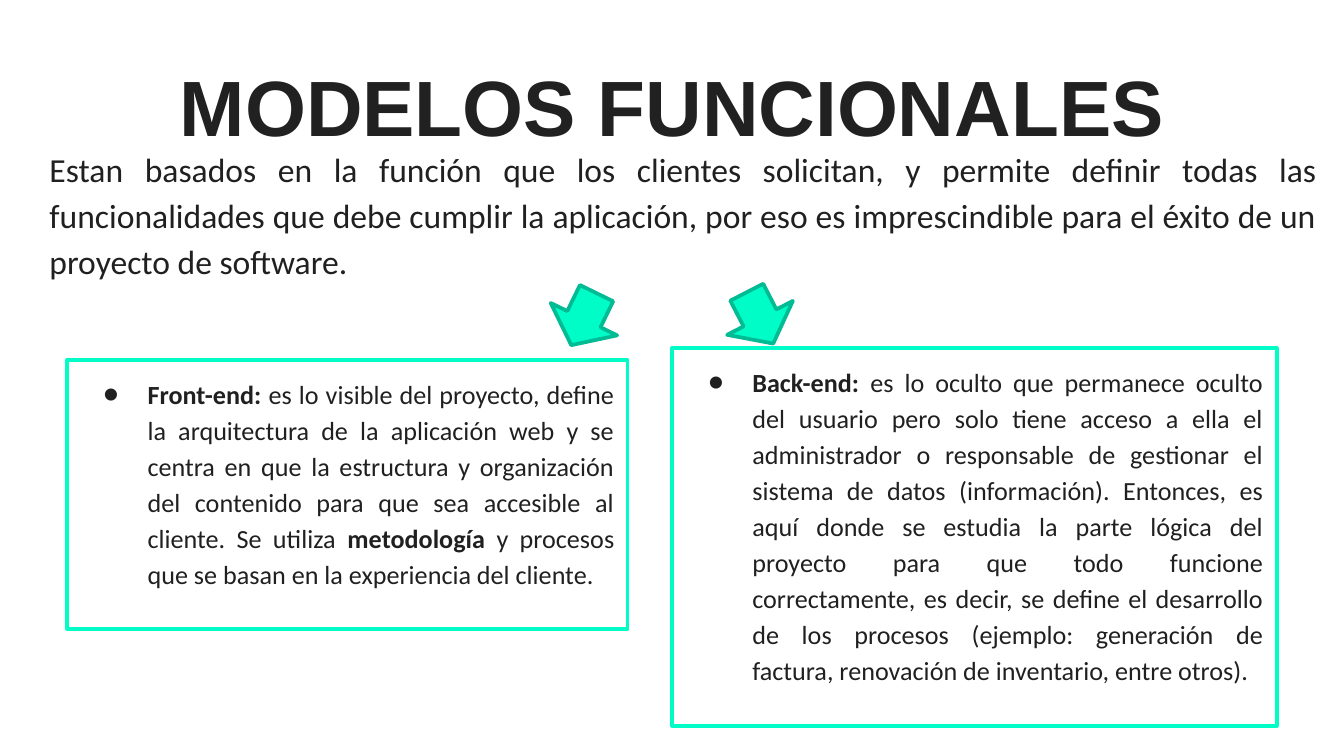
from pptx import Presentation
from pptx.dml.color import RGBColor
from pptx.enum.shapes import MSO_SHAPE as Shape
from pptx.enum.text import MSO_ANCHOR as Anchor, PP_ALIGN as Align
from pptx.oxml.ns import qn
from pptx.util import Inches, Pt
from lxml import etree

COLORS = {
    "title": "212121",
    "text": "202020",
    "white": "FFFFFF",
    "mint": "00FDC8",
    "green": "00BB94",
}

INTRO = ("Estan basados en la función que los clientes solicitan, y permite definir "
         "todas las funcionalidades que debe cumplir la aplicación, por eso es "
         "imprescindible para el éxito de un proyecto de software.")

# Runs of each card: (text, bold)
FRONT_END = [
    ("Front-end:", True),
    (" es lo visible del proyecto, define la arquitectura de la aplicación web y se "
     "centra en que la estructura y organización del contenido para que sea accesible "
     "al cliente. Se utiliza ", False),
    ("metodología ", True),
    ("y procesos que se basan en la experiencia del cliente.", False),
]
BACK_END = [
    ("Back-end: ", True),
    ("es lo oculto que permanece oculto del usuario pero solo tiene acceso a ella el "
     "administrador o responsable de gestionar el sistema de datos (información). "
     "Entonces, es aquí donde se estudia la parte lógica del proyecto para que todo "
     "funcione correctamente, es decir, se define el desarrollo de los procesos "
     "(ejemplo: generación de factura, renovación de inventario, entre otros).", False),
]


def color(name):
    return RGBColor.from_string(COLORS[name])


def setup_frame(tf, anchor=Anchor.TOP):
    tf.word_wrap = True
    tf.vertical_anchor = anchor
    tf.margin_left = tf.margin_right = tf.margin_top = tf.margin_bottom = Inches(0.1)
    return tf.paragraphs[0]


def set_font(p, name, size, color_name):
    p.font.name = name
    p.font.size = Pt(size)
    p.font.color.rgb = color(color_name)


def set_body(p, size):
    """Justified Calibri with the spacing shared by the intro and the cards."""
    p.alignment = Align.JUSTIFY
    p.line_spacing = 1.15
    p.space_before = Pt(12)
    set_font(p, "Calibri", size, "text")


def add_bullet(p, size):
    pPr = p._p.get_or_add_pPr()
    pPr.set("marL", str(Inches(0.5)))
    pPr.set("indent", str(Inches(-0.33)))
    bullet_color = etree.Element(qn("a:buClr"))
    etree.SubElement(bullet_color, qn("a:srgbClr"), val=COLORS["text"])
    parts = [
        bullet_color,
        etree.Element(qn("a:buSzPts"), val=str(size * 100)),
        etree.Element(qn("a:buFont"), typeface="Calibri"),
        etree.Element(qn("a:buChar"), char="●"),
    ]
    for part in parts:
        pPr.find(qn("a:defRPr")).addprevious(part)


def add_title(s, text):
    tb = s.shapes.add_textbox(Inches(0.8), Inches(0.33), Inches(8.4), Inches(0.91))
    p = setup_frame(tb.text_frame, Anchor.MIDDLE)
    p.text = text
    p.alignment = Align.CENTER
    set_font(p, "Arial", 42, "title")
    p.font.bold = True


def add_intro(s, text):
    tb = s.shapes.add_textbox(Inches(0.27), Inches(0.96), Inches(9.63), Inches(1.58))
    p = setup_frame(tb.text_frame)
    p.text = text
    set_body(p, 18)
    p.space_after = Pt(12)


def add_outlined(s, kind, box, fill, line):
    sp = s.shapes.add_shape(kind, *map(Inches, box))
    sp.shadow.inherit = False
    sp.fill.solid()
    sp.fill.fore_color.rgb = color(fill)
    sp.line.color.rgb = color(line)
    sp.line.width = Pt(2)
    return sp


def add_card(s, box, runs):
    sp = add_outlined(s, Shape.RECTANGLE, box, "white", "mint")
    p = setup_frame(sp.text_frame)
    set_body(p, 14)
    add_bullet(p, 14)
    for text, bold in runs:
        r = p.add_run()
        r.text = text
        r.font.bold = bold


def add_arrow(s, left, top, rotation):
    sp = add_outlined(s, Shape.LEFT_ARROW, (left, top, 0.43, 0.55), "mint", "green")
    sp.rotation = rotation


def main():
    prs = Presentation()
    prs.slide_width = Inches(10)
    prs.slide_height = prs.slide_width * 9 // 16
    s = prs.slides.add_slide(prs.slide_layouts[6])

    add_title(s, "MODELOS FUNCIONALES")
    add_intro(s, INTRO)
    add_card(s, (0.5, 2.68, 4.17, 2), FRONT_END)
    add_card(s, (5, 2.59, 4.5, 2.81), BACK_END)
    add_arrow(s, 4.13, 2.1, 296)
    add_arrow(s, 5.44, 2.09, 242.7)

    prs.save("out.pptx")


if __name__ == "__main__":
    main()
